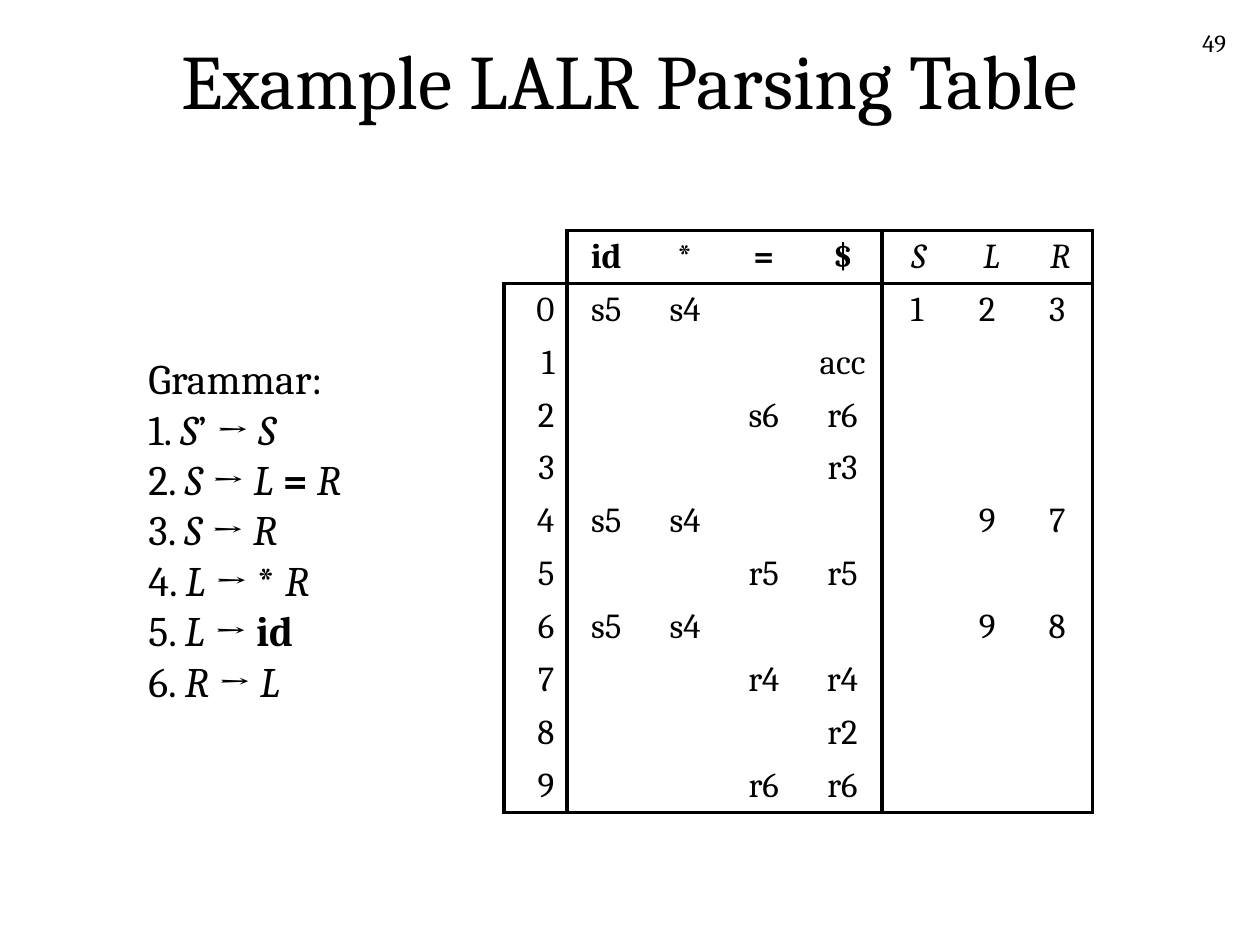
import pptx
import pptx.util
import pptx.dml.color
import pptx.enum.text
from lxml import etree
from pptx.oxml.ns import qn

Inches, Pt = pptx.util.Inches, pptx.util.Pt
ALIGN = pptx.enum.text.PP_ALIGN
ANCHOR = pptx.enum.text.MSO_ANCHOR

COLORS = {"ink": "000000"}
FONT = "Cambria"
NO_STYLE = "{2D5ABB26-0587-4C30-8999-92F81FD0307C}"
RULE = Pt(2.25)

TITLE = "Example LALR Parsing Table"
PAGE = "49"
NONTERMINALS = ["S", "L", "R"]
TERMINALS = ["id", "*", "=", "$"]
GRAMMAR = ["S’ → S", "S → L = R", "S → R", "L → * R", "L → id", "R → L"]
ACTIONS = [
    ["s5", "s4", "", ""],
    ["", "", "", "acc"],
    ["", "", "s6", "r6"],
    ["", "", "", "r3"],
    ["s5", "s4", "", ""],
    ["", "", "r5", "r5"],
    ["s5", "s4", "", ""],
    ["", "", "r4", "r4"],
    ["", "", "", "r2"],
    ["", "", "r6", "r6"],
]
GOTOS = {0: ["1", "2", "3"], 4: ["", "9", "7"], 6: ["", "9", "8"]}

ROW_H = 0.42
HEAD_TOP, BODY_TOP = 1.83, 2.25
STATE_LEFT, ACTION_LEFT, GOTO_LEFT = 4, 4.5, 7


def set_font(font, size, bold=None, italic=None):
    font.name, font.size = FONT, Pt(size)
    font.bold, font.italic = bold, italic
    font.color.rgb = pptx.dml.color.RGBColor.from_string(COLORS["ink"])


def add_text(slide, box, lines, size, align=ALIGN.LEFT, anchor=ANCHOR.TOP, wrap=True):
    """Each line is a list of (text, bold, italic) pieces."""
    tf = slide.shapes.add_textbox(*map(Inches, box)).text_frame
    tf.word_wrap, tf.vertical_anchor = wrap, anchor
    for i, pieces in enumerate(lines):
        p = tf.add_paragraph() if i else tf.paragraphs[0]
        p.alignment = align
        set_font(p.font, size)
        for text, bold, italic in pieces:
            r = p.add_run()
            r.text = text
            set_font(r.font, size, bold, italic)


def set_border(cell, side, visible):
    tc_pr = cell._tc.get_or_add_tcPr()
    ln = etree.SubElement(tc_pr, qn(f"a:ln{side}"), w=str(RULE if visible else 0))
    if visible:
        fill = etree.SubElement(ln, qn("a:solidFill"))
        etree.SubElement(fill, qn("a:srgbClr"), val=COLORS["ink"])
    else:
        etree.SubElement(ln, qn("a:noFill"))


def add_grid(slide, left, top, widths, rows, align=ALIGN.CENTER, bold=None, italic=None):
    """Add a table that is ruled only around its outside."""
    last_row, last_col = len(rows) - 1, len(widths) - 1
    table = slide.shapes.add_table(
        len(rows), len(widths), Inches(left), Inches(top),
        Inches(sum(widths)), Inches(ROW_H * len(rows))).table
    table.first_row = table.horz_banding = False
    table._tbl.tblPr.find(qn("a:tableStyleId")).text = NO_STYLE
    for column, width in zip(table.columns, widths):
        column.width = Inches(width)
    for i, row in enumerate(rows):
        table.rows[i].height = Inches(ROW_H)
        for j, text in enumerate(row):
            cell = table.cell(i, j)
            cell.vertical_anchor = ANCHOR.MIDDLE
            cell.margin_top = cell.margin_bottom = Inches(0.03)
            edges = {"L": j == 0, "R": j == last_col, "T": i == 0, "B": i == last_row}
            for side, visible in edges.items():
                set_border(cell, side, visible)
            cell.fill.background()
            p = cell.text_frame.paragraphs[0]
            p.alignment = align
            set_font(p.font, 20, bold, italic)
            if text:
                p.add_run().text = text


def rule_pieces(number, production):
    """Nonterminals are italic and terminals bold."""
    pieces = [(f"{number}.", False, False)]
    for token in production.split():
        pieces.append((" ", False, False))
        name = token.rstrip("’")
        pieces.append((name, name in TERMINALS, name in NONTERMINALS))
        if name != token:
            pieces.append(("’", False, False))
    return pieces


prs = pptx.Presentation()
prs.slide_width, prs.slide_height = Inches(10), Inches(7.5)
s = prs.slides.add_slide(prs.slide_layouts[6])

add_text(s, (7.75, 0.17, 2.08, 0.5), [[(PAGE, False, False)]], 14, ALIGN.RIGHT)
add_text(s, (0.75, 0, 8.5, 1.25), [[(TITLE, False, False)]], 44, ALIGN.CENTER, ANCHOR.MIDDLE)

states = range(len(ACTIONS))
gotos = [GOTOS.get(state, [""] * len(NONTERMINALS)) for state in states]
action_widths = [2.5 / len(TERMINALS)] * len(TERMINALS)
goto_widths = [1.67 / len(NONTERMINALS)] * len(NONTERMINALS)

add_grid(s, ACTION_LEFT, BODY_TOP, action_widths, ACTIONS)
add_grid(s, ACTION_LEFT, HEAD_TOP, action_widths, [TERMINALS], bold=True)
add_grid(s, STATE_LEFT, BODY_TOP, [0.5], [[str(state)] for state in states], ALIGN.RIGHT)
add_grid(s, GOTO_LEFT, HEAD_TOP, [0.58, 0.58, 0.51], [NONTERMINALS], italic=True)
add_grid(s, GOTO_LEFT, BODY_TOP, goto_widths, gotos)

rules = [rule_pieces(n, production) for n, production in enumerate(GRAMMAR, 1)]
add_text(s, (1.08, 2.75, 1.94, 2.9), [[("Grammar:", False, False)]] + rules, 24, wrap=False)

prs.save("out.pptx")
